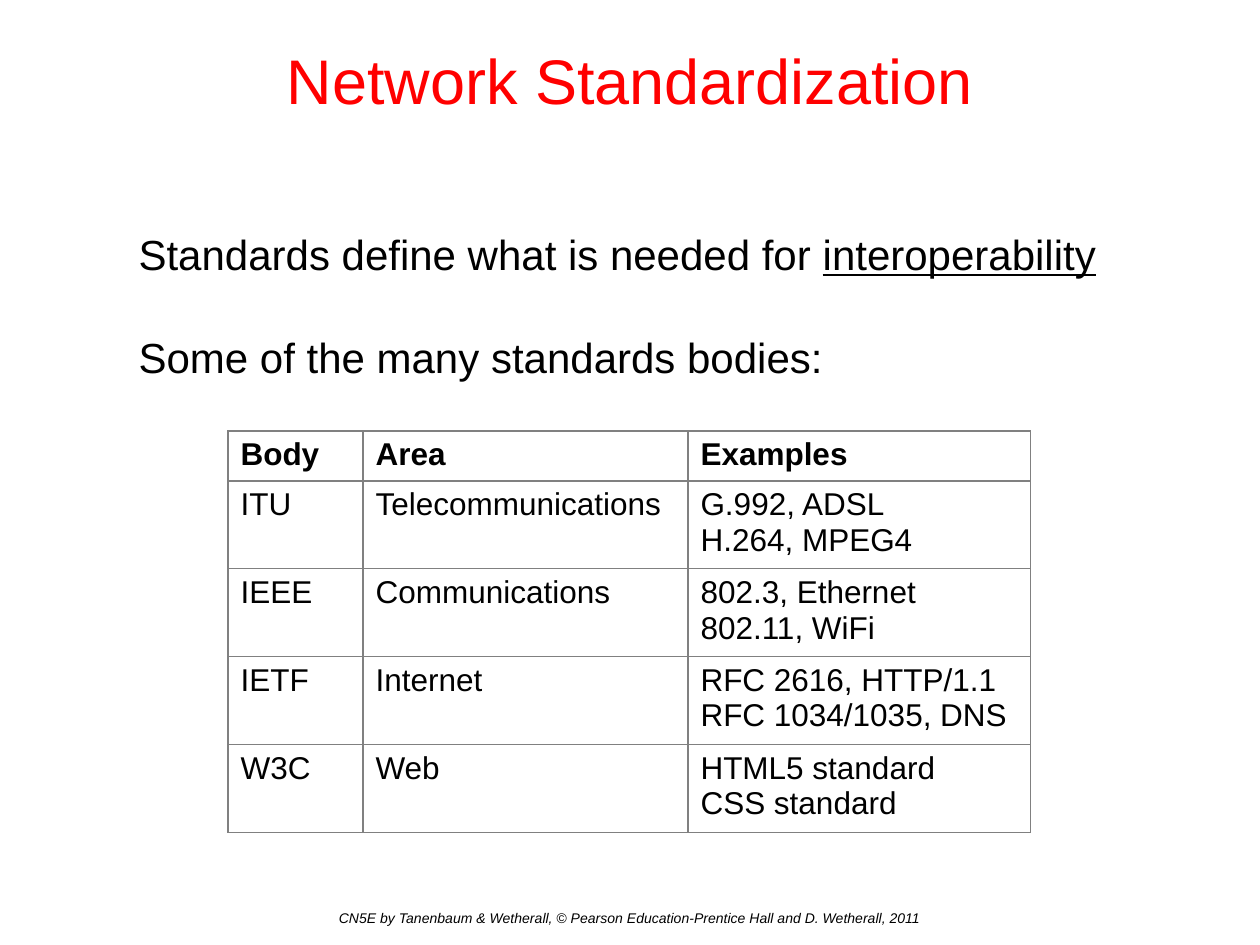
import pptx
import pptx.util
import pptx.dml.color
import pptx.enum.text
import pptx.oxml
import pptx.oxml.ns
from dataclasses import dataclass

PX = 914400 / 126
ALIGN = pptx.enum.text.PP_ALIGN
ANCHOR = pptx.enum.text.MSO_ANCHOR
NAMESPACE = pptx.oxml.ns.nsdecls("a")


@dataclass(frozen=True)
class Theme:
    font: str = "Arial"
    title_color: str = "FF0000"
    text_color: str = "000000"
    border_color: str = "808080"
    border_width: float = 0.75
    title_size: int = 36
    body_size: int = 24
    table_size: int = 18
    footer_size: int = 8


def emu(px):
    return pptx.util.Emu(round(px * PX))


def assign(target, values):
    for name, value in values.items():
        setattr(target, name, value)


class SlideBuilder:
    def __init__(self, slide, theme):
        self.slide = slide
        self.theme = theme

    def place(self, shape, box):
        assign(shape, dict(zip(("left", "top", "width", "height"), map(emu, box))))

    def style(self, font, size, color=None, **extra):
        assign(font, {"name": self.theme.font, "size": pptx.util.Pt(size), **extra})
        font.color.rgb = pptx.dml.color.RGBColor.from_string(color or self.theme.text_color)

    def title(self, text, box):
        shape = self.slide.shapes.title
        self.place(shape, box)
        frame = shape.text_frame
        frame.text = text
        assign(frame, {"vertical_anchor": ANCHOR.MIDDLE, "word_wrap": True})
        paragraph = frame.paragraphs[0]
        paragraph.alignment = ALIGN.CENTER
        self.style(paragraph.runs[0].font, self.theme.title_size, self.theme.title_color)

    def body(self, lines, box, hanging, gap):
        """Each line is a list of (text, underlined) runs."""
        shape = self.slide.placeholders[1]
        self.place(shape, box)
        frame = shape.text_frame
        assign(frame, {"vertical_anchor": ANCHOR.TOP, "word_wrap": True,
                       "auto_size": pptx.enum.text.MSO_AUTO_SIZE.NONE})
        for index, line in enumerate(lines):
            paragraph = frame.paragraphs[0] if index == 0 else frame.add_paragraph()
            properties = paragraph._p.get_or_add_pPr()
            properties.set("marL", str(emu(hanging)))
            properties.set("indent", str(-emu(hanging)))
            properties.append(pptx.oxml.parse_xml(f"<a:buNone {NAMESPACE}/>"))
            assign(paragraph, {"alignment": ALIGN.LEFT,
                               "space_before": pptx.util.Pt(gap if index else 0)})
            for text, underlined in line:
                run = paragraph.add_run()
                run.text = text
                self.style(run.font, self.theme.body_size, underline=underlined)

    def border(self, cell):
        properties = cell._tc.get_or_add_tcPr()
        width = pptx.util.Pt(self.theme.border_width)
        for side in ("lnL", "lnR", "lnT", "lnB"):
            properties.append(pptx.oxml.parse_xml(
                f'<a:{side} {NAMESPACE} w="{width}"><a:solidFill>'
                f'<a:srgbClr val="{self.theme.border_color}"/></a:solidFill></a:{side}>'))

    def table(self, rows, left, top, widths, heights):
        box = map(emu, (left, top, sum(widths), sum(heights)))
        table = self.slide.shapes.add_table(len(rows), len(widths), *box).table
        assign(table, {"first_row": False, "horz_banding": False})
        for column, width in zip(table.columns, widths):
            column.width = emu(width)
        for row_index, (row, height) in enumerate(zip(rows, heights)):
            table.rows[row_index].height = emu(height)
            for column_index, text in enumerate(row):
                cell = table.cell(row_index, column_index)
                cell.text = text
                self.border(cell)
                cell.fill.background()
                for paragraph in cell.text_frame.paragraphs:
                    self.style(paragraph.runs[0].font, self.theme.table_size,
                               bold=row_index == 0)

    def footer(self, text, box):
        frame = self.slide.shapes.add_textbox(*map(emu, box)).text_frame
        frame.word_wrap = True
        frame.text = text
        paragraph = frame.paragraphs[0]
        paragraph.alignment = ALIGN.CENTER
        self.style(paragraph.runs[0].font, self.theme.footer_size, italic=True)


def main():
    presentation = pptx.Presentation()
    assign(presentation, {"slide_width": emu(1260), "slide_height": emu(945)})
    slide = presentation.slides.add_slide(presentation.slide_layouts[1])
    builder = SlideBuilder(slide, Theme())

    # Title and statements
    builder.title("Network Standardization", (0, 0, 1260, 158))
    builder.body([
        [("Standards define what is needed for ", False), ("interoperability", True)],
        [("Some of the many standards bodies:", False)],
    ], (126, 222, 1074, 634), hanging=63, gap=30)

    # Standards bodies
    builder.table([
        ("Body", "Area", "Examples"),
        ("ITU", "Telecommunications", "G.992, ADSL\nH.264, MPEG4"),
        ("IEEE", "Communications", "802.3, Ethernet\n802.11, WiFi"),
        ("IETF", "Internet", "RFC 2616, HTTP/1.1\nRFC 1034/1035, DNS"),
        ("W3C", "Web", "HTML5 standard\nCSS standard"),
    ], 228, 431, widths=(135, 325, 343), heights=[50] + [88] * 4)

    # Copyright line
    builder.footer("CN5E by Tanenbaum & Wetherall, © Pearson Education-Prentice Hall "
                   "and D. Wetherall, 2011", (0, 903, 1260, 42))

    presentation.save("out.pptx")


if __name__ == "__main__":
    main()
